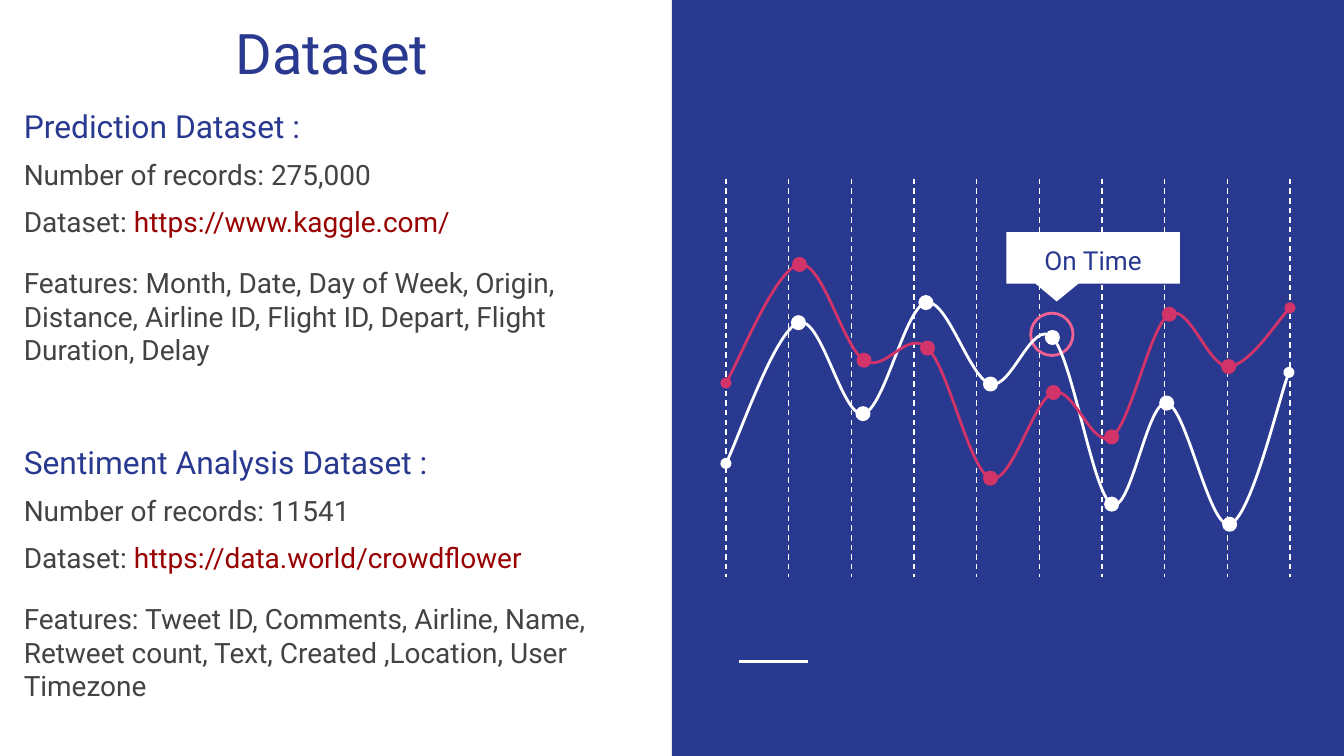
from itertools import chain
from lxml.etree import SubElement
from pptx import Presentation
from pptx.dml.color import RGBColor
from pptx.enum.dml import MSO_LINE
from pptx.enum.shapes import MSO_CONNECTOR, MSO_SHAPE
from pptx.enum.text import MSO_ANCHOR as Anchor, PP_ALIGN as Align
from pptx.oxml.ns import qn
from pptx.util import Cm, Pt

FONT = "Roboto"
WHITE = RGBColor(0xFF, 0xFF, 0xFF)
NAVY = RGBColor(0x2A, 0x39, 0x90)
GREY = RGBColor(0x43, 0x43, 0x43)
DARK_RED = RGBColor(0x99, 0x00, 0x00)
CRIMSON = RGBColor(0xD2, 0x33, 0x69)
PINK = RGBColor(0xF0, 0x62, 0x92)

# Points of the two series, in centimetres on the slide
WHITE_SERIES = [(13.72, 8.76), (15.09, 6.1), (16.31, 7.82), (17.5, 5.72),
                (18.72, 7.26), (19.89, 6.38), (21.01, 9.53), (22.05, 7.62),
                (23.24, 9.91), (24.36, 7.04)]
CRIMSON_SERIES = [(13.72, 7.24), (15.11, 5), (16.33, 6.81), (17.53, 6.58),
                  (18.72, 9.04), (19.91, 7.42), (21.01, 8.26), (22.1, 5.94),
                  (23.22, 6.93), (24.38, 5.82)]
GUIDE_COUNT = 10
GUIDE_LEFT, GUIDE_RIGHT = 13.72, 24.38
GUIDE_TOP, GUIDE_BOTTOM = 3.38, 10.9
DOT = 0.23

# Heading, record count, link, features, space before the heading
DATASETS = [
    ("Prediction Dataset :", "275,000", "https://www.kaggle.com/",
     "Month, Date, Day of Week, Origin, Distance, Airline ID, Flight ID, "
     "Depart, Flight Duration, Delay", 0),
    ("Sentiment Analysis Dataset :", "11541", "https://data.world/crowdflower",
     "Tweet ID, Comments, Airline, Name, Retweet count, Text, "
     "Created ,Location, User Timezone", 50),
]


def add_figure(slide, kind, left, top, width, height, fill=None, outline=None):
    figure = slide.shapes.add_shape(kind, Cm(left), Cm(top), Cm(width), Cm(height))
    figure.shadow.inherit = False
    if fill is None:
        figure.fill.background()
    else:
        figure.fill.solid()
        figure.fill.fore_color.rgb = fill
    if outline is None:
        figure.line.fill.background()
    else:
        figure.line.color.rgb = outline
        figure.line.width = Pt(1.5)
    return figure


def add_rule(slide, x1, y1, x2, y2, width, dash=None):
    rule = slide.shapes.add_connector(MSO_CONNECTOR.STRAIGHT,
                                      Cm(x1), Cm(y1), Cm(x2), Cm(y2))
    rule.line.color.rgb = WHITE
    rule.line.width = Pt(width)
    rule.line.dash_style = dash
    SubElement(rule.element.spPr, qn("a:effectLst"))


def set_frame(frame, anchor):
    frame.word_wrap = True
    frame.vertical_anchor = anchor
    frame.margin_left = frame.margin_right = Cm(0.25)
    frame.margin_top = frame.margin_bottom = Cm(0.25)
    return frame


def add_text_frame(slide, left, top, width, height, anchor):
    box = slide.shapes.add_textbox(Cm(left), Cm(top), Cm(width), Cm(height))
    return set_frame(box.text_frame, anchor)


def fill_paragraph(paragraph, runs, size, align=Align.LEFT, spacing=1.0, before=0):
    paragraph.alignment = align
    paragraph.line_spacing = spacing
    paragraph.space_before = Pt(before)
    for text, color in runs:
        run = paragraph.add_run()
        run.text = text
        run.font.name = FONT
        run.font.size = Pt(size)
        run.font.color.rgb = color


def bezier_points(knots):
    """Control and end points of a smooth curve through the knots."""
    padded = [knots[0], *knots, knots[-1]]
    slopes = [((c[0] - a[0]) / 6, (c[1] - a[1]) / 6)
              for a, c in zip(padded, padded[2:])]
    segments = zip(knots, knots[1:], slopes, slopes[1:])
    return chain.from_iterable(
        ((x1 + dx1, y1 + dy1), (x2 - dx2, y2 - dy2), (x2, y2))
        for (x1, y1), (x2, y2), (dx1, dy1), (dx2, dy2) in segments)


def add_series(slide, knots, color):
    start_x, start_y = knots[0]
    builder = slide.shapes.build_freeform(Cm(start_x), Cm(start_y))
    builder.add_line_segments([(Cm(x), Cm(y)) for x, y in bezier_points(knots)],
                              close=False)
    curve = builder.convert_to_shape()
    curve.shadow.inherit = False
    curve.fill.background()
    curve.line.color.rgb = color
    curve.line.width = Pt(1.5)
    stroke = curve.element.spPr.find(qn("a:ln"))
    for end in ("a:headEnd", "a:tailEnd"):
        SubElement(stroke, qn(end), type="oval")

    # Every three straight steps become one cubic segment
    outline = curve.element.find(".//" + qn("a:path"))
    steps = outline.findall(qn("a:lnTo"))
    for i in range(0, len(steps), 3):
        cubic = SubElement(outline, qn("a:cubicBezTo"))
        for step in steps[i:i + 3]:
            cubic.append(step[0])
            outline.remove(step)

    for x, y in knots[1:-1]:
        add_figure(slide, MSO_SHAPE.OVAL, x - DOT / 2, y - DOT / 2, DOT, DOT,
                   color, color)


def add_datasets(slide):
    frame = add_text_frame(slide, 0.2, 2.08, 12.14, 11.38, Anchor.TOP)
    for index, (heading, records, link, features, gap) in enumerate(DATASETS):
        first = frame.add_paragraph() if index else frame.paragraphs[0]
        fill_paragraph(first, [(heading, NAVY)], 17, spacing=0.5, before=gap)
        details = [([("Number of records: " + records, GREY)], 0.5),
                   ([("Dataset: ", GREY), (link, DARK_RED)], 0.5),
                   ([("Features: " + features, GREY)], 1.0)]
        for runs, spacing in details:
            fill_paragraph(frame.add_paragraph(), runs, 15, spacing=spacing, before=16)


def main():
    prs = Presentation()
    prs.slide_width, prs.slide_height = Cm(25.4), Cm(14.29)
    slide = prs.slides.add_slide(prs.slide_layouts[6])

    # Right panel with its short accent rule
    add_figure(slide, MSO_SHAPE.RECTANGLE, 12.7, 0, 12.7, 14.29, NAVY)
    add_rule(slide, 13.97, 12.5, 15.27, 12.5, 1.5)

    # Dashed guides
    step = (GUIDE_RIGHT - GUIDE_LEFT) / (GUIDE_COUNT - 1)
    for i in range(GUIDE_COUNT):
        x = GUIDE_LEFT + i * step
        add_rule(slide, x, GUIDE_TOP, x, GUIDE_BOTTOM, 0.75, MSO_LINE.DASH)

    # Left column
    title = add_text_frame(slide, 0.66, -0.18, 11.23, 2.06, Anchor.BOTTOM)
    fill_paragraph(title.paragraphs[0], [("Dataset", NAVY)], 30, Align.CENTER)
    add_datasets(slide)

    # Curves, highlight ring and callout
    add_figure(slide, MSO_SHAPE.OVAL, 19.48, 5.92, 0.8, 0.8, outline=PINK)
    add_series(slide, WHITE_SERIES, WHITE)
    callout = add_figure(slide, MSO_SHAPE.ROUNDED_RECTANGULAR_CALLOUT,
                         19.02, 4.39, 3.28, 0.97, WHITE)
    for i, value in enumerate((-0.21, 0.85, 0)):
        callout.adjustments[i] = value
    label = set_frame(callout.text_frame, Anchor.MIDDLE)
    fill_paragraph(label.paragraphs[0], [("On Time", NAVY)], 14, Align.CENTER, 1.15)
    add_series(slide, CRIMSON_SERIES, CRIMSON)

    prs.save("out.pptx")


if __name__ == "__main__":
    main()
